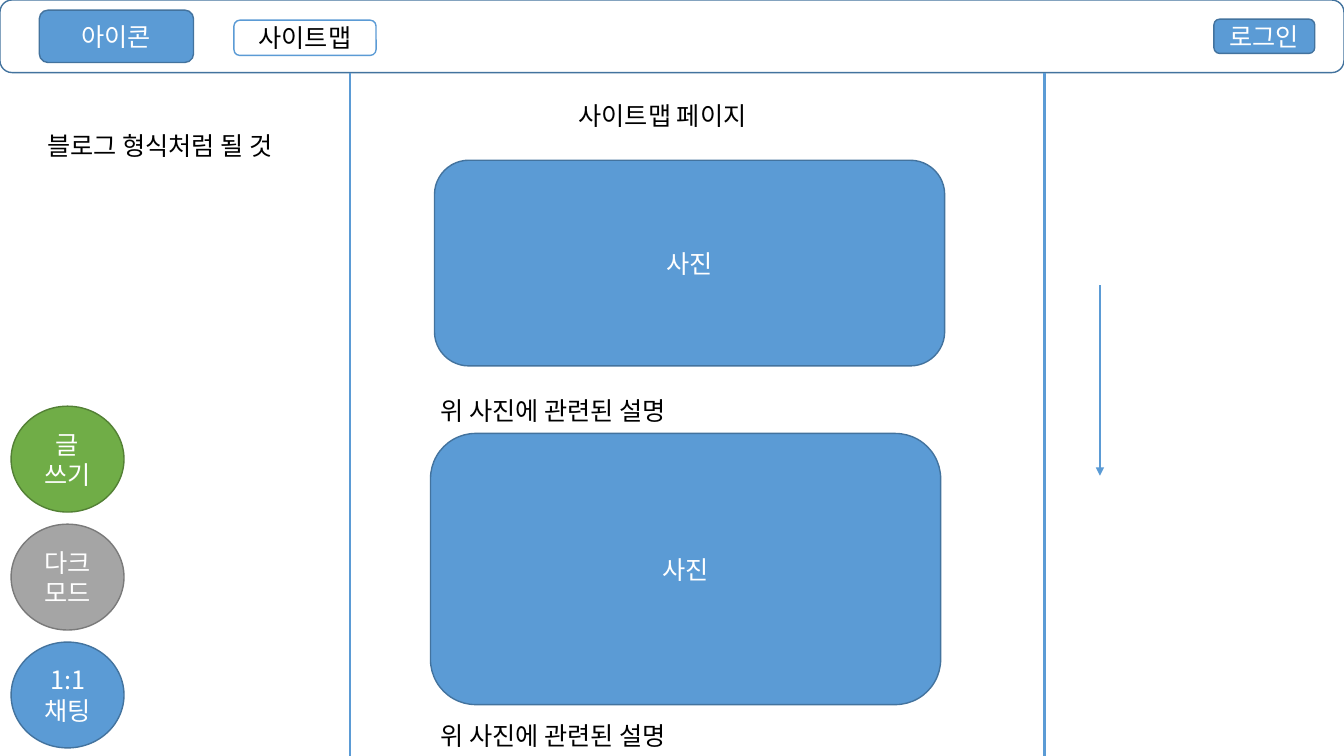
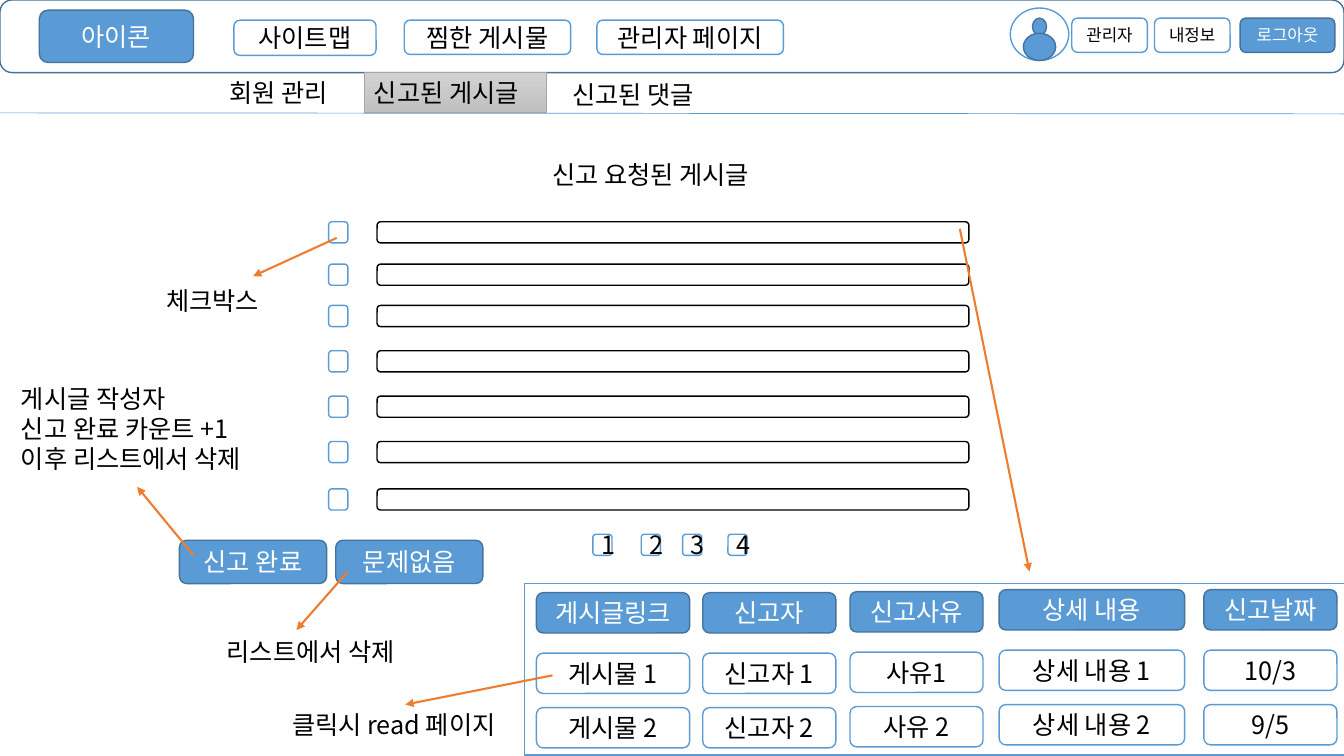
from dataclasses import dataclass

from lxml import etree
from pptx import Presentation
from pptx.dml.color import RGBColor
from pptx.enum.shapes import MSO_CONNECTOR, MSO_SHAPE
from pptx.enum.text import MSO_ANCHOR, MSO_AUTO_SIZE, PP_ALIGN
from pptx.oxml.ns import qn
from pptx.util import Inches, Pt

ROUNDED = MSO_SHAPE.ROUNDED_RECTANGLE
RECTANGLE = MSO_SHAPE.RECTANGLE
OVAL = MSO_SHAPE.OVAL
STRAIGHT = MSO_CONNECTOR.STRAIGHT
TOP, MIDDLE = MSO_ANCHOR.TOP, MSO_ANCHOR.MIDDLE
LEFT, CENTER = PP_ALIGN.LEFT, PP_ALIGN.CENTER
FIT_SHAPE = MSO_AUTO_SIZE.SHAPE_TO_FIT_TEXT


@dataclass(frozen=True)
class Theme:
    font: str = "Noto Sans CJK KR"
    body: int = 18
    small: int = 12
    white: str = "FFFFFF"
    black: str = "000000"
    blue: str = "5B9BD5"
    navy: str = "43739E"
    green: str = "70AD47"
    dark_green: str = "538035"
    gray: str = "A5A5A5"
    dark_gray: str = "7A7A7A"
    tab_light: str = "D2D2D2"
    tab_dark: str = "C0C0C0"
    orange: str = "ED7D31"
    outline: float = 1
    hairline: float = 0.5
    rule: float = 1.5


THEME = Theme()
SOLID = dict(fill=THEME.blue, line=THEME.navy, color=THEME.white)
OUTLINED = dict(fill=THEME.white, line=THEME.blue, color=THEME.black)
SMALL_OUTLINED = dict(OUTLINED, size=THEME.small)


@dataclass(frozen=True)
class Box:
    left: float
    top: float
    width: float
    height: float

    def inner(self, left, top, width, height):
        return Box(self.left + left, self.top + top, width, height)

    def point(self, left, top):
        return self.left + left, self.top + top

    def lengths(self):
        return [Inches(value) for value in (self.left, self.top, self.width, self.height)]


PAGE = Box(0, 0, 13.33, 7.5)
HEADER = Box(0, 0, 13.33, 0.72)


def rgb(value):
    return RGBColor.from_string(value)


def write_text(shape, text, color=THEME.black, size=THEME.body, align=CENTER, anchor=MIDDLE, wrap=True):
    frame = shape.text_frame
    frame.word_wrap = wrap
    frame.vertical_anchor = anchor
    if not wrap:
        frame.auto_size = FIT_SHAPE
    frame.text = text
    for paragraph in frame.paragraphs:
        paragraph.alignment = align
        for run in paragraph.runs:
            run.font.name = THEME.font
            run.font.size = Pt(size)
            run.font.color.rgb = rgb(color)
            east_asian = etree.SubElement(run.font._element, qn("a:ea"))
            east_asian.set("typeface", THEME.font)


def add_block(slide, box, text="", kind=ROUNDED, fill=None, line=None, weight=THEME.outline, **text_format):
    shape = slide.shapes.add_shape(kind, *box.lengths())
    shape.shadow.inherit = False
    if fill:
        shape.fill.solid()
        shape.fill.fore_color.rgb = rgb(fill)
    else:
        shape.fill.background()
    if line:
        shape.line.color.rgb = rgb(line)
        shape.line.width = Pt(weight)
    else:
        shape.line.fill.background()
    if text:
        write_text(shape, text, **text_format)
    return shape


def add_label(slide, box, text):
    label = slide.shapes.add_textbox(*box.lengths())
    write_text(label, text, align=LEFT, anchor=TOP, wrap=False)


def add_line(slide, start, end, color=THEME.blue, weight=THEME.rule, arrow=False):
    ends = [Inches(value) for value in (*start, *end)]
    connector = slide.shapes.add_connector(STRAIGHT, *ends)
    connector.line.color.rgb = rgb(color)
    connector.line.width = Pt(weight)
    if arrow:
        etree.SubElement(connector.line._get_or_add_ln(), qn("a:tailEnd")).set("type", "triangle")
    etree.SubElement(connector._element.spPr, qn("a:effectLst"))


def draw_header(slide, box):
    add_block(slide, box, fill=THEME.white, line=THEME.navy)
    add_block(slide, box.inner(0.39, 0.1, 1.53, 0.52), "아이콘", **SOLID)
    add_block(slide, box.inner(2.32, 0.2, 1.41, 0.35), "사이트맵", **OUTLINED)


def draw_guest_menu(slide, box):
    add_block(slide, box.inner(12.04, 0.19, 1, 0.34), "로그인", **SOLID)


def draw_admin_menu(slide, box):
    for left, width, text in ((4.01, 1.65, "찜한 게시물"), (5.92, 1.85, "관리자 페이지")):
        add_block(slide, box.inner(left, 0.2, width, 0.34), text, **OUTLINED)
    for left, width, text, style in (
        (10.63, 0.75, "관리자", SMALL_OUTLINED),
        (11.45, 0.75, "내정보", SMALL_OUTLINED),
        (12.3, 0.94, "로그아웃", dict(SOLID, size=THEME.small)),
    ):
        add_block(slide, box.inner(left, 0.18, width, 0.34), text, **style)
    draw_avatar(slide, box.inner(10.02, 0.08, 0.58, 0.52))


def draw_avatar(slide, box):
    add_block(slide, box, kind=OVAL, **OUTLINED)
    add_block(slide, box.inner(0.22, 0.1, 0.14, 0.17), kind=OVAL, **SOLID)
    add_block(slide, box.inner(0.13, 0.25, 0.32, 0.27), kind=OVAL, **SOLID)


def draw_feed(slide, box):
    add_label(slide, box.inner(2.17, 0.23, 2.06, 0.4), "사이트맵 페이지")
    for left, top, height, caption_top in ((0.84, 0.87, 2.04, 3.15), (0.8, 3.58, 2.69, 6.38)):
        add_block(slide, box.inner(left, top, 5.06, height), "사진", **SOLID)
        add_label(slide, box.inner(0.8, caption_top, 2.74, 0.4), "위 사진에 관련된 설명")
    for left in (0, box.width):
        add_line(slide, box.point(left, 0), box.point(left, box.height))


def draw_quick_buttons(slide, box):
    buttons = (
        ("글\n쓰기", THEME.green, THEME.dark_green),
        ("다크모드", THEME.gray, THEME.dark_gray),
        ("1:1 채팅", THEME.blue, THEME.navy),
    )
    diameter = 1.05
    pitch = (box.height - diameter) / (len(buttons) - 1)
    for index, (text, fill, line) in enumerate(buttons):
        add_block(slide, box.inner(0, index * pitch, box.width, diameter), text,
                  kind=OVAL, fill=fill, line=line, color=THEME.white)


def draw_tabs(slide, box):
    add_line(slide, box.point(0, box.height), box.point(box.width, box.height + 0.01), weight=THEME.hairline)
    active = add_block(slide, box.inner(3.61, 0, 1.81, box.height), "신고된 게시글", kind=RECTANGLE,
                       fill=THEME.tab_light, line=THEME.gray, weight=THEME.hairline,
                       align=LEFT, anchor=TOP, wrap=False)
    active.fill.gradient()
    active.fill.gradient_angle = 270
    for stop, color in zip(active.fill.gradient_stops, (THEME.tab_light, THEME.tab_dark)):
        stop.color.rgb = rgb(color)
    add_block(slide, box.inner(2.08, 0, 1.37, 0.39), "회원 관리")
    add_label(slide, box.inner(5.58, 0.02, 1.55, 0.4), "신고된 댓글")


def draw_report_list(slide, box):
    size = (0.19, 0.21)
    add_label(slide, box.inner(2.12, -0.67, 2.4, 0.4), "신고 요청된 게시글")
    for top in (0, 0.42, 0.83, 1.28, 1.73, 2.18, 2.65):
        add_block(slide, box.inner(0, top, *size), **OUTLINED)
        add_block(slide, box.inner(0.48, top, 5.87, 0.21), fill=THEME.white, line=THEME.black)
    for number, left in enumerate((2.62, 3.1, 3.51, 3.96), start=1):
        add_block(slide, box.inner(left, 3.1, *size), str(number), **OUTLINED)


def draw_actions(slide, box):
    for left, text in ((0, "신고 완료"), (1.55, "문제없음")):
        add_block(slide, box.inner(left, 0, 1.46, box.height), text, **SOLID)


def draw_report_details(slide, box):
    add_block(slide, box, kind=RECTANGLE, **OUTLINED)
    columns = (
        (0.12, 1.52, 0.01, ("게시글링크", "게시물 1", "게시물 2")),
        (1.77, 1.32, 0.01, ("신고자", "신고자 1", "신고자 2")),
        (3.23, 1.32, 0, ("신고사유", "사유1", "사유 2")),
        (4.71, 1.84, -0.02, ("상세 내용", "상세 내용 1", "상세 내용 2")),
        (6.74, 1.32, -0.02, ("신고날짜", "10/3", "9/5")),
    )
    rows = ((0.08, SOLID), (0.68, OUTLINED), (1.22, OUTLINED))
    for left, width, shift, texts in columns:
        for (top, style), text in zip(rows, texts):
            add_block(slide, box.inner(left, top + shift, width, 0.4), text, **style)


def draw_annotations(slide, box):
    notes = (
        (1.55, 2.78, 1.21, 0.4, "체크박스"),
        (0.11, 3.75, 2.65, 1.01, "게시글 작성자\n신고 완료 카운트 +1\n이후 리스트에서 삭제"),
        (2.15, 6.26, 2.06, 0.4, "리스트에서 삭제"),
        (2.8, 6.99, 2.4, 0.4, "클릭시 read 페이지"),
    )
    arrows = (
        ((3.34, 2.36), (2.51, 2.74)),
        ((9.52, 2.27), (10.21, 5.67)),
        ((1.92, 5.51), (1.36, 4.83)),
        ((3.45, 5.67), (2.94, 6.25)),
        ((5.48, 6.7), (4.02, 6.99)),
    )
    for *place, text in notes:
        add_label(slide, box.inner(*place), text)
    for start, end in arrows:
        add_line(slide, box.point(*start), box.point(*end), color=THEME.orange, arrow=True)


def build_sitemap_slide(slide):
    draw_header(slide, HEADER)
    draw_guest_menu(slide, HEADER)
    draw_feed(slide, Box(3.47, 0.72, 6.89, 6.78))
    add_label(slide, PAGE.inner(0.37, 1.24, 2.74, 0.4), "블로그 형식처럼 될 것")
    draw_quick_buttons(slide, Box(0.11, 4.03, 1.12, 3.39))
    add_line(slide, PAGE.point(10.91, 2.83), PAGE.point(10.91, 4.72), arrow=True)


def build_reports_slide(slide):
    draw_header(slide, HEADER)
    draw_admin_menu(slide, HEADER)
    draw_tabs(slide, Box(0, 0.72, 13.33, 0.4))
    draw_report_list(slide, Box(3.26, 2.2, 6.35, 3.31))
    draw_actions(slide, Box(1.78, 5.36, 3.01, 0.43))
    draw_report_details(slide, Box(5.2, 5.79, 8.14, 1.7))
    draw_annotations(slide, PAGE)


def main():
    presentation = Presentation()
    presentation.slide_width = Inches(PAGE.width)
    presentation.slide_height = Inches(PAGE.height)
    blank = presentation.slide_layouts[6]
    for build in (build_sitemap_slide, build_reports_slide):
        build(presentation.slides.add_slide(blank))
    presentation.save("out.pptx")


if __name__ == "__main__":
    main()
